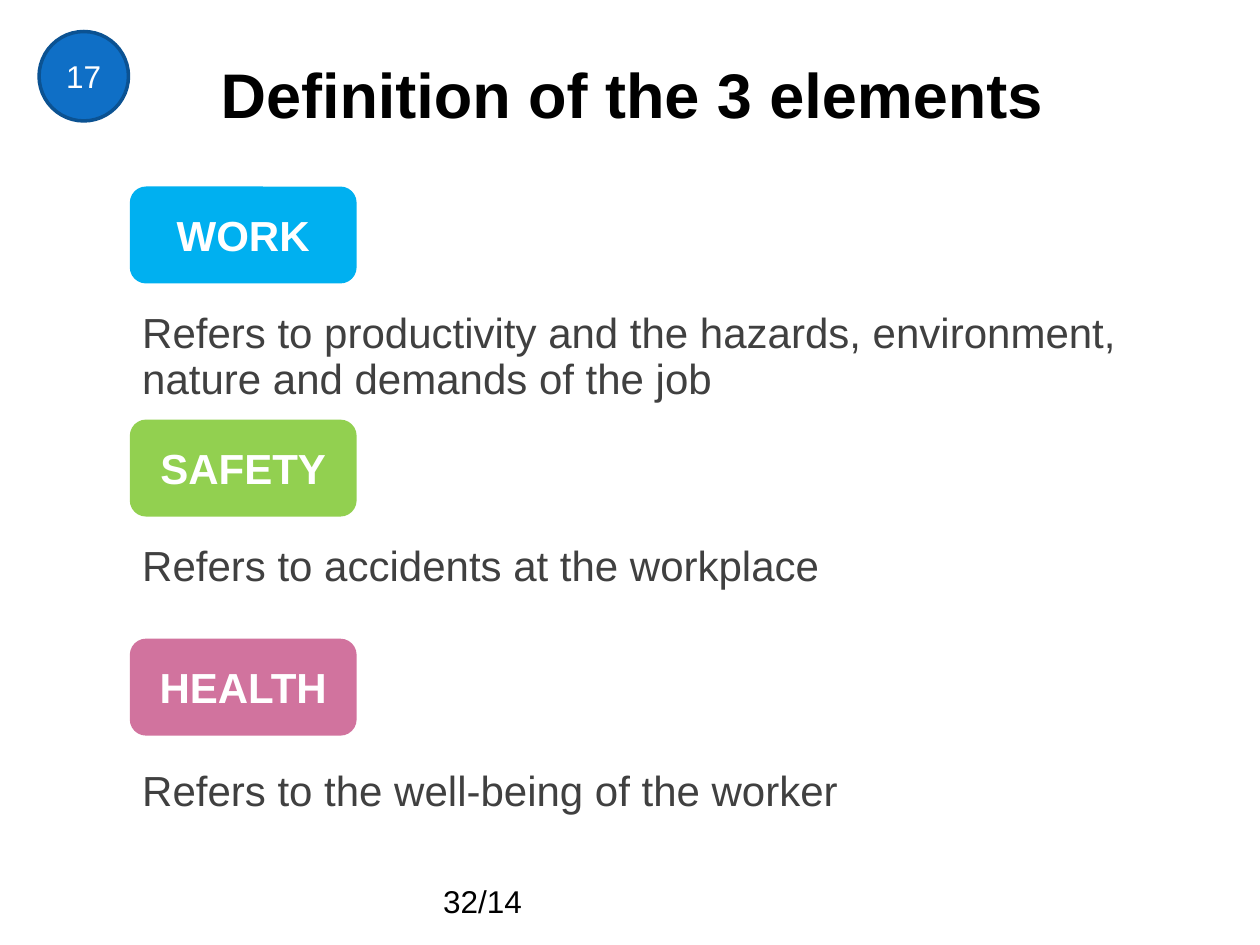
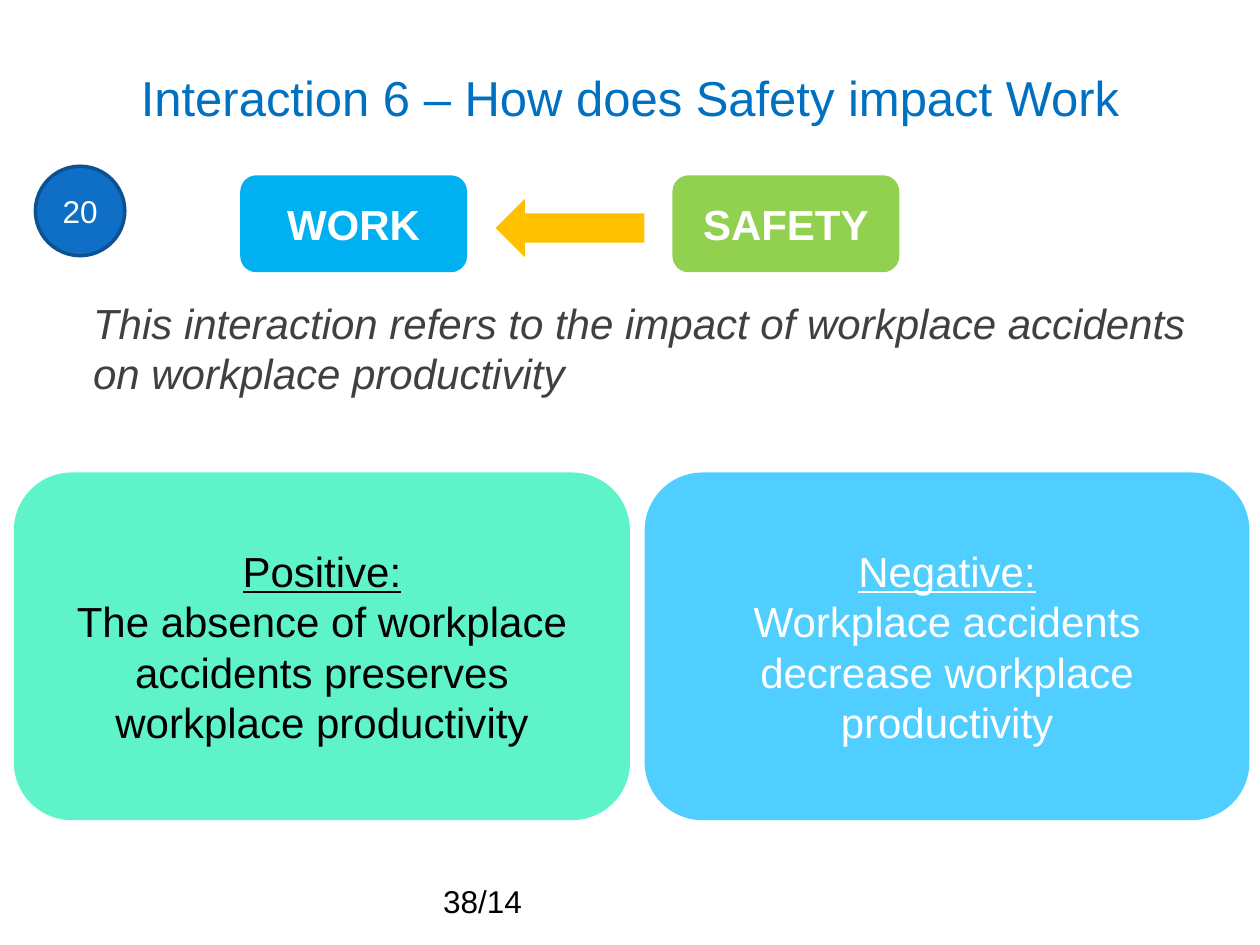
from dataclasses import dataclass
from pptx import Presentation
from pptx.dml.color import RGBColor
from pptx.enum.shapes import MSO_SHAPE as Form
from pptx.enum.text import MSO_ANCHOR as Anchor, PP_ALIGN as Align
from pptx.util import Pt


@dataclass(frozen=True)
class Theme:
    font: str = "Arial"
    black: str = "000000"
    white: str = "FFFFFF"
    gray: str = "404040"
    blue: str = "0070C0"
    disc: str = "0F6FC6"
    rim: str = "0B5292"
    arrow: str = "FFC000"
    good: str = "5FF3CA"
    bad: str = "4FCEFF"
    title: int = 36
    topic: int = 28
    body: int = 24
    small: int = 18


THEME = Theme()
TAGS = {"WORK": "00B0F0", "SAFETY": "92D050", "HEALTH": "D1739E"}
TAG_W, TAG_H = 129.6, 55.4


def write(shape, lines, size, color, align=Align.LEFT, anchor=Anchor.TOP,
          bold=False, italic=False, leading=None):
    frame = shape.text_frame
    frame.word_wrap = True
    frame.vertical_anchor = anchor
    frame.text = "\n".join(lines)
    for para in frame.paragraphs:
        para.alignment = align
        if leading:
            para.line_spacing = leading
        font = para.font
        font.name, font.size = THEME.font, Pt(size)
        font.bold, font.italic = bold, italic
        font.color.rgb = RGBColor.from_string(color)
    return frame


def add_text(slide, box, text, size, color, **style):
    area = slide.shapes.add_textbox(*map(Pt, box))
    write(area, [text], size, color, **style)


def add_form(slide, form, box, fill, rim=None):
    shape = slide.shapes.add_shape(form, *map(Pt, box))
    shape.shadow.inherit = False
    shape.fill.solid()
    shape.fill.fore_color.rgb = RGBColor.from_string(fill)
    if rim:
        shape.line.color.rgb = RGBColor.from_string(rim)
        shape.line.width = Pt(2)
    else:
        shape.line.fill.background()
    return shape


def add_title(slide, box, text, size, color, bold=False):
    add_text(slide, box, text, size, color, align=Align.CENTER,
             anchor=Anchor.MIDDLE, bold=bold)


def add_tag(slide, left, top, name):
    shape = add_form(slide, Form.ROUNDED_RECTANGLE, (left, top, TAG_W, TAG_H), TAGS[name])
    write(shape, [name], THEME.body, THEME.white, Align.CENTER, Anchor.MIDDLE, bold=True)


def add_badge(slide, left, top, number):
    shape = add_form(slide, Form.OVAL, (left, top, 51.1, 51.1), THEME.disc, THEME.rim)
    write(shape, [number], THEME.small, THEME.white, Align.CENTER, Anchor.MIDDLE)


def add_footer(slide, text):
    add_text(slide, (246.2, 500.4, 228.2, 28.8), text, THEME.small, THEME.black)


def add_term(slide, box, name, text, leading):
    """Place a coloured tag with its meaning below it."""
    left, top, width, height = box
    add_tag(slide, left, top, name)
    add_text(slide, (left, top + 68.4, width, height - 68.4), text,
             THEME.body, THEME.gray, leading=leading)


def add_card(slide, box, head, text, fill, color):
    shape = add_form(slide, Form.ROUNDED_RECTANGLE, box, fill)
    frame = write(shape, [head, text], THEME.body, color, Align.CENTER, Anchor.MIDDLE)
    frame.paragraphs[0].font.underline = True


def add_flow(slide, left, top, target, source):
    """Show an arrow that points back from source to target."""
    add_tag(slide, left, top, target)
    add_tag(slide, left + 247, top, source)
    add_form(slide, Form.LEFT_ARROW, (left + 145.9, top + 13.4, 85, 33.4), THEME.arrow)


def build_terms(slide):
    add_title(slide, (25.2, 21.6, 671.8, 63.4), "Definition of the 3 elements",
              THEME.title, THEME.black, bold=True)
    terms = [
        (106.6, "WORK", "Refers to productivity and the hazards, environment, "
         "nature and demands of the job", 0.9),
        (239.8, "SAFETY", "Refers to accidents at the workplace", 0.9),
        (365, "HEALTH", "Refers to the well-being of the worker", None),
    ]
    for top, name, text, leading in terms:
        add_term(slide, (74.2, top, 614.9, 117.4), name, text, leading)
    add_footer(slide, "32/14")
    add_badge(slide, 22.3, 18, "17")


def build_impact(slide):
    add_title(slide, (36, 10.1, 648, 90), "Interaction 6 – How does Safety impact Work",
              THEME.topic, THEME.blue)
    add_text(slide, (46.1, 166.3, 666, 72),
             "This interaction refers to the impact of workplace accidents "
             "on workplace productivity", THEME.body, THEME.gray, italic=True)
    add_card(slide, (7.9, 270, 352.1, 198.7), "Positive:",
             "The absence of workplace accidents preserves workplace productivity",
             THEME.good, THEME.black)
    add_card(slide, (368.4, 270, 345.6, 198.7), "Negative:",
             "Workplace accidents decrease workplace productivity",
             THEME.bad, THEME.white)
    add_flow(slide, 137.3, 100.2, "WORK", "SAFETY")
    add_footer(slide, "38/14")
    add_badge(slide, 20.2, 95, "20")


def main():
    deck = Presentation()
    deck.slide_width, deck.slide_height = Pt(720), Pt(540)
    for build in (build_terms, build_impact):
        build(deck.slides.add_slide(deck.slide_layouts[6]))
    deck.save("out.pptx")


if __name__ == "__main__":
    main()
